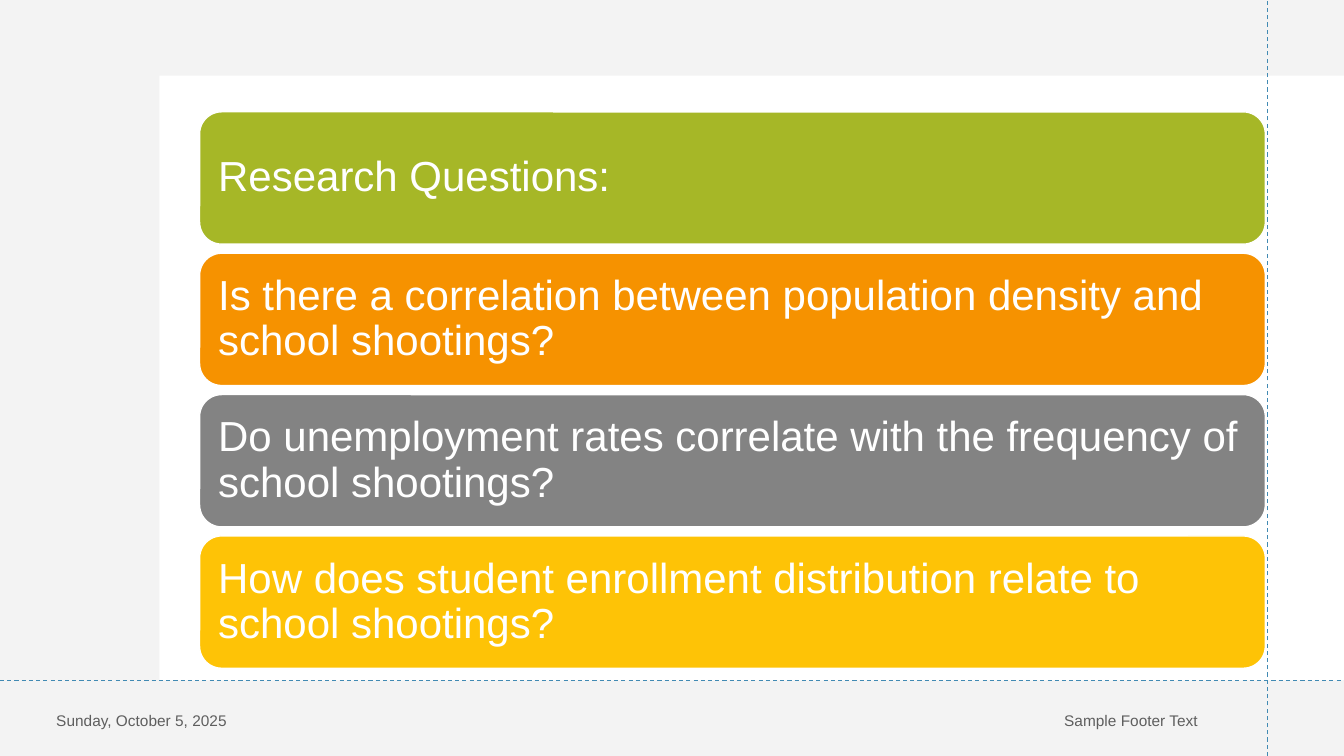
import pptx
import pptx.util
import pptx.dml.color
import pptx.enum.dml
import pptx.enum.shapes
import pptx.enum.text
import lxml.etree
from pptx.util import Inches

COLORS = {
    "white": "FFFFFF", "haze": "DDDDDD", "footer": "5E5E5E", "guide": "418AB3",
    "green": "A6B727", "orange": "F69200", "gray": "838383", "yellow": "FEC306",
}
DRAWING = "{http://schemas.openxmlformats.org/drawingml/2006/main}"
PANELS = [
    ("Research Questions:", "green"),
    ("Is there a correlation between population density and school shootings?", "orange"),
    ("Do unemployment rates correlate with the frequency of school shootings?", "gray"),
    ("How does student enrollment distribution relate to school shootings?", "yellow"),
]
ALIGN = pptx.enum.text.PP_ALIGN
SHAPES = pptx.enum.shapes.MSO_SHAPE


def color(name):
    return pptx.dml.color.RGBColor.from_string(COLORS[name])


def set_values(target, values):
    for name, value in values.items():
        setattr(target, name, value)


def add_block(page, kind, box, fill):
    block = page.shapes.add_shape(kind, *map(Inches, box))
    block.shadow.inherit = False
    block.fill.solid()
    block.fill.fore_color.rgb = color(fill)
    block.line.fill.background()
    return block


def write_text(shape, text, size, ink, align=ALIGN.LEFT, spacing=1.0, inset=0.1):
    frame = shape.text_frame
    set_values(frame, {
        "word_wrap": True,
        "vertical_anchor": pptx.enum.text.MSO_ANCHOR.MIDDLE,
        "margin_left": Inches(inset), "margin_right": Inches(inset),
    })
    para = frame.paragraphs[0]
    set_values(para, {"alignment": align, "line_spacing": spacing})
    span = para.add_run()
    span.text = text
    set_values(span.font, {"name": "Arial", "size": pptx.util.Pt(size)})
    span.font.color.rgb = color(ink)


def add_guide(page, start, end):
    """Draw a dashed layout line."""
    guide = page.shapes.add_connector(
        pptx.enum.shapes.MSO_CONNECTOR.STRAIGHT, *map(Inches, start + end))
    guide.line.color.rgb = color("guide")
    set_values(guide.line, {
        "width": pptx.util.Pt(0.75),
        "dash_style": pptx.enum.dml.MSO_LINE.DASH,
    })
    lxml.etree.SubElement(guide.element.spPr, DRAWING + "effectLst")


def add_backdrop(page, box):
    left, top, width, height = box
    add_block(page, SHAPES.RECTANGLE, box, "white")
    haze = add_block(page, SHAPES.RECTANGLE, box, "haze")
    tint = haze.element.spPr.find(f"{DRAWING}solidFill/{DRAWING}srgbClr")
    lxml.etree.SubElement(tint, DRAWING + "alpha", val="35000")
    add_block(page, SHAPES.RECTANGLE,
              (left + 1.58, top + 0.75, width - 1.58, height - 1.5), "white")


def add_footer(page, box):
    left, top, width, height = box
    for text, offset, length, align in (
        ("Sunday, October 5, 2025", 0, 3, ALIGN.LEFT),
        ("Sample Footer Text", width - 4.5, 4.5, ALIGN.RIGHT),
    ):
        label = page.shapes.add_textbox(
            *map(Inches, (left + offset, top, length, height)))
        write_text(label, text, 11, "footer", align)


def add_panels(page, box, gap=0.09):
    """Stack the question panels evenly in the box."""
    left, top, width, height = box
    panel_height = (height - gap * (len(PANELS) - 1)) / len(PANELS)
    for index, (text, fill) in enumerate(PANELS):
        panel_top = top + index * (panel_height + gap)
        panel = add_block(page, SHAPES.ROUNDED_RECTANGLE,
                          (left, panel_top, width, panel_height), fill)
        panel.line.color.rgb = color("white")
        panel.line.width = pptx.util.Pt(1)
        write_text(panel, text, 30, "white", spacing=0.9, inset=0.12)


def main():
    deck = pptx.Presentation()
    set_values(deck, {"slide_width": Inches(13.33), "slide_height": Inches(7.5)})
    page = deck.slides.add_slide(deck.slide_layouts[6])
    add_backdrop(page, (0, 0, 13.33, 7.5))
    add_footer(page, (0.46, 6.8, 11.52, 0.7))
    add_guide(page, (12.57, 7.5), (12.57, 0))
    add_guide(page, (0, 6.75), (13.33, 6.75))
    add_panels(page, (1.98, 1.11, 10.57, 5.52))
    deck.save("out.pptx")


if __name__ == "__main__":
    main()
